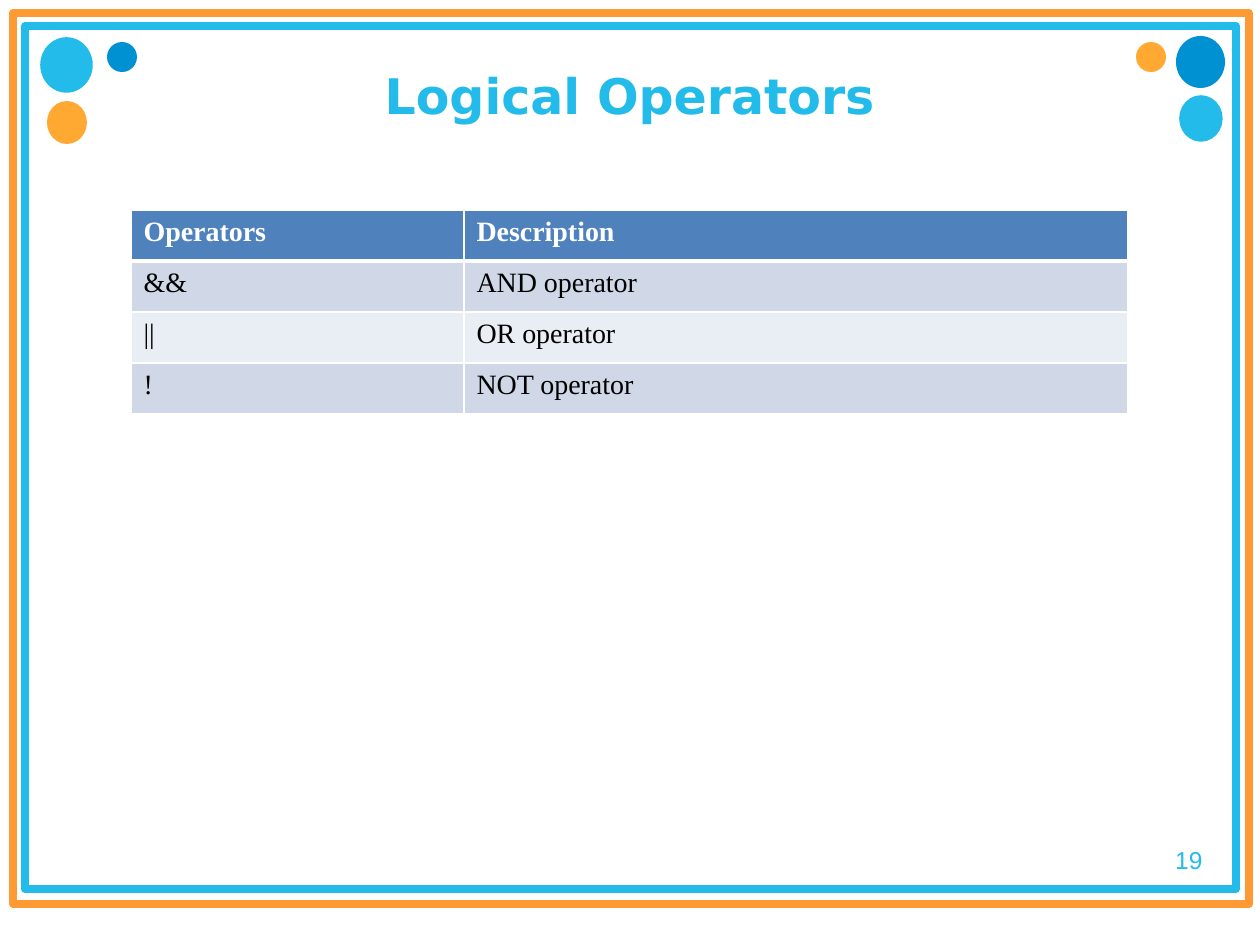
from typing import NamedTuple, Optional

from lxml import etree
from pptx import Presentation
from pptx.dml.color import RGBColor
from pptx.enum.shapes import MSO_SHAPE
from pptx.enum.text import MSO_ANCHOR, PP_ALIGN
from pptx.oxml.ns import qn
from pptx.util import Emu, Pt

RECTANGLE, OVAL = MSO_SHAPE.RECTANGLE, MSO_SHAPE.OVAL
LEFT, CENTER, RIGHT = PP_ALIGN.LEFT, PP_ALIGN.CENTER, PP_ALIGN.RIGHT
MIDDLE = MSO_ANCHOR.MIDDLE

PIXELS_PER_INCH = 126
TITLE_ONLY_LAYOUT = 5
SKY, BLUE, AMBER, ORANGE = "22BBEA", "0091D2", "FF990F", "FF9933"
WHITE, BLACK = "FFFFFF", "000000"
HEADER_FILL, BAND_FILLS = "4F81BD", ("D0D8E8", "E9EDF4")


class Decoration(NamedTuple):
    kind: int
    left: int
    top: int
    width: int
    height: int
    fill: Optional[str] = None
    line: Optional[str] = None
    line_width: float = 0
    opacity: int = 100


DECORATIONS = (
    Decoration(RECTANGLE, 25, 26, 1211, 863, WHITE, SKY, 4.5),
    Decoration(RECTANGLE, 13, 13, 1236, 891, None, ORANGE, 4.5),
    Decoration(OVAL, 42, 39, 49, 52, SKY, SKY, 2),
    Decoration(OVAL, 107, 42, 30, 30, BLUE),
    Decoration(OVAL, 47, 101, 40, 43, AMBER, opacity=85),
    Decoration(OVAL, 1176, 36, 49, 52, BLUE),
    Decoration(OVAL, 1181, 97, 40, 43, SKY, SKY, 2),
    Decoration(OVAL, 1136, 42, 30, 30, AMBER, opacity=85),
)

TABLE_ROWS = (
    ("Operators", "Description"),
    ("&&", "AND operator"),
    ("||", "OR operator"),
    ("!", "NOT operator"),
)
TABLE_LEFT, TABLE_TOP = 131, 210
COLUMN_WIDTHS = (333, 664)
ROW_HEIGHT = 51


def px(length: int) -> Emu:
    return Emu(round(length * 914400 / PIXELS_PER_INCH))


def color(value: str) -> RGBColor:
    return RGBColor.from_string(value)


def write_text(text_frame, text: str, *, font: str, size: int, fill: str,
               bold: bool = False, align=LEFT) -> None:
    paragraph = text_frame.paragraphs[0]
    paragraph.alignment = align
    run = paragraph.add_run()
    run.text = text
    run.font.name = font
    run.font.size = Pt(size)
    run.font.bold = bold
    run.font.color.rgb = color(fill)


def draw_decoration(slide, item: Decoration) -> None:
    shape = slide.shapes.add_shape(
        item.kind, px(item.left), px(item.top), px(item.width), px(item.height))
    shape.shadow.inherit = False
    if item.fill:
        shape.fill.solid()
        shape.fill.fore_color.rgb = color(item.fill)
    else:
        shape.fill.background()
    if item.opacity < 100:
        fill_color = shape.element.spPr.find(".//" + qn("a:srgbClr"))
        etree.SubElement(fill_color, qn("a:alpha"), val=str(item.opacity * 1000))
    if item.line:
        shape.line.color.rgb = color(item.line)
        shape.line.width = Pt(item.line_width)
    else:
        shape.line.fill.background()


def draw_title(slide, text: str) -> None:
    """Fill the title placeholder and lift it above the white frame."""
    title = slide.shapes.title
    title.left, title.top, title.width, title.height = px(63), px(30), px(1133), px(130)
    title.text_frame.vertical_anchor = MIDDLE
    write_text(title.text_frame, text, font="DejaVu Sans", size=28, fill=SKY,
               bold=True, align=CENTER)
    title.element.getparent().append(title.element)


def draw_slide_number(slide, number: str) -> None:
    box = slide.shapes.add_textbox(px(1086), px(839), px(129), px(43))
    box.text_frame.word_wrap = True
    write_text(box.text_frame, number, font="Arial", size=14, fill=SKY, align=RIGHT)


def set_border(cell, side: str, width: float) -> None:
    properties = cell._tc.get_or_add_tcPr()
    border = etree.SubElement(properties, qn("a:ln" + side), w=str(Pt(width)))
    fill = etree.SubElement(border, qn("a:solidFill"))
    etree.SubElement(fill, qn("a:srgbClr"), val=WHITE)


def draw_operator_table(slide) -> None:
    table = slide.shapes.add_table(
        len(TABLE_ROWS), len(COLUMN_WIDTHS), px(TABLE_LEFT), px(TABLE_TOP),
        px(sum(COLUMN_WIDTHS)), px(ROW_HEIGHT * len(TABLE_ROWS))).table
    for column, width in zip(table.columns, COLUMN_WIDTHS):
        column.width = px(width)
    for row_index, texts in enumerate(TABLE_ROWS):
        is_header = row_index == 0
        fill = HEADER_FILL if is_header else BAND_FILLS[(row_index - 1) % 2]
        for column_index, text in enumerate(texts):
            cell = table.cell(row_index, column_index)
            widths = {"L": 1, "R": 1, "T": 3 if row_index == 1 else 1,
                      "B": 3 if is_header else 1}
            for side, width in widths.items():
                set_border(cell, side, width)
            cell.fill.solid()
            cell.fill.fore_color.rgb = color(fill)
            write_text(cell.text_frame, text, font="Times New Roman", size=16,
                       fill=WHITE if is_header else BLACK, bold=is_header)


def main() -> None:
    presentation = Presentation()
    presentation.slide_width, presentation.slide_height = px(1260), px(945)
    slide = presentation.slides.add_slide(presentation.slide_layouts[TITLE_ONLY_LAYOUT])
    for item in DECORATIONS:
        draw_decoration(slide, item)
    draw_slide_number(slide, "19")
    draw_title(slide, "Logical Operators")
    draw_operator_table(slide)
    presentation.save("out.pptx")


if __name__ == "__main__":
    main()
